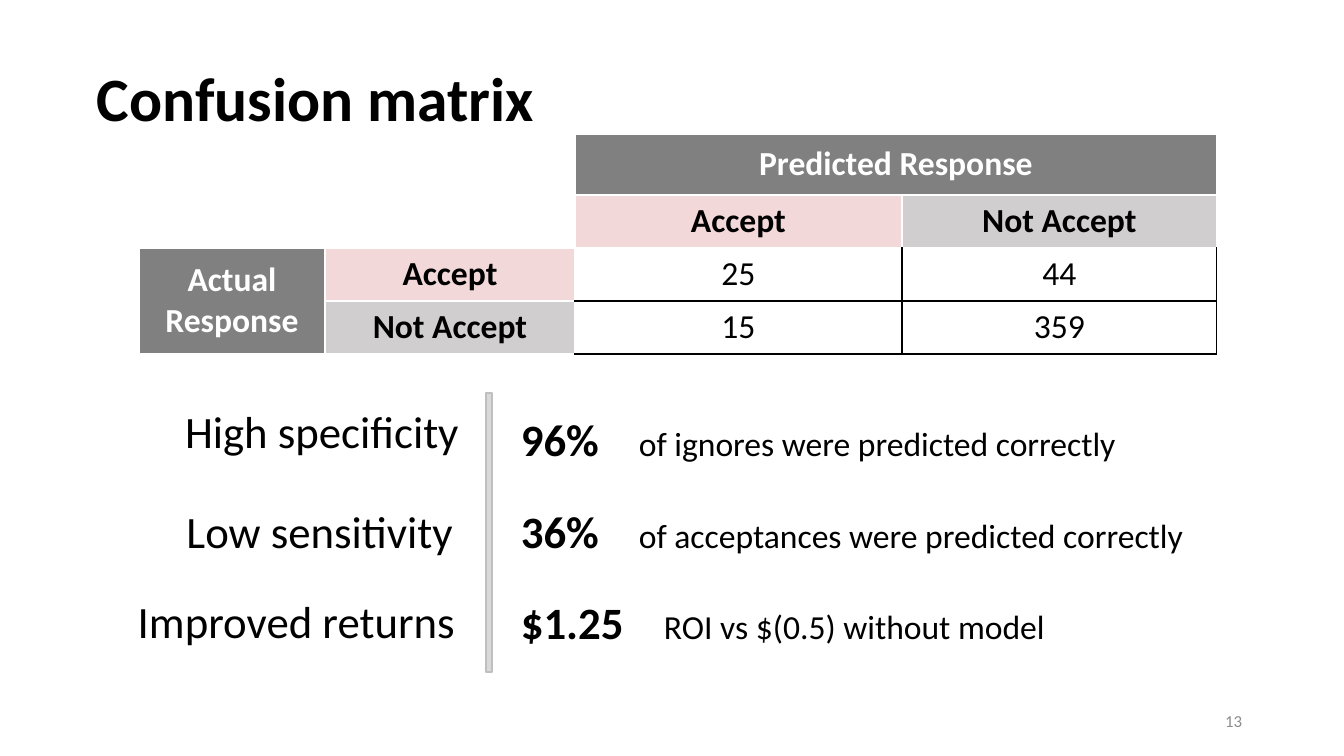
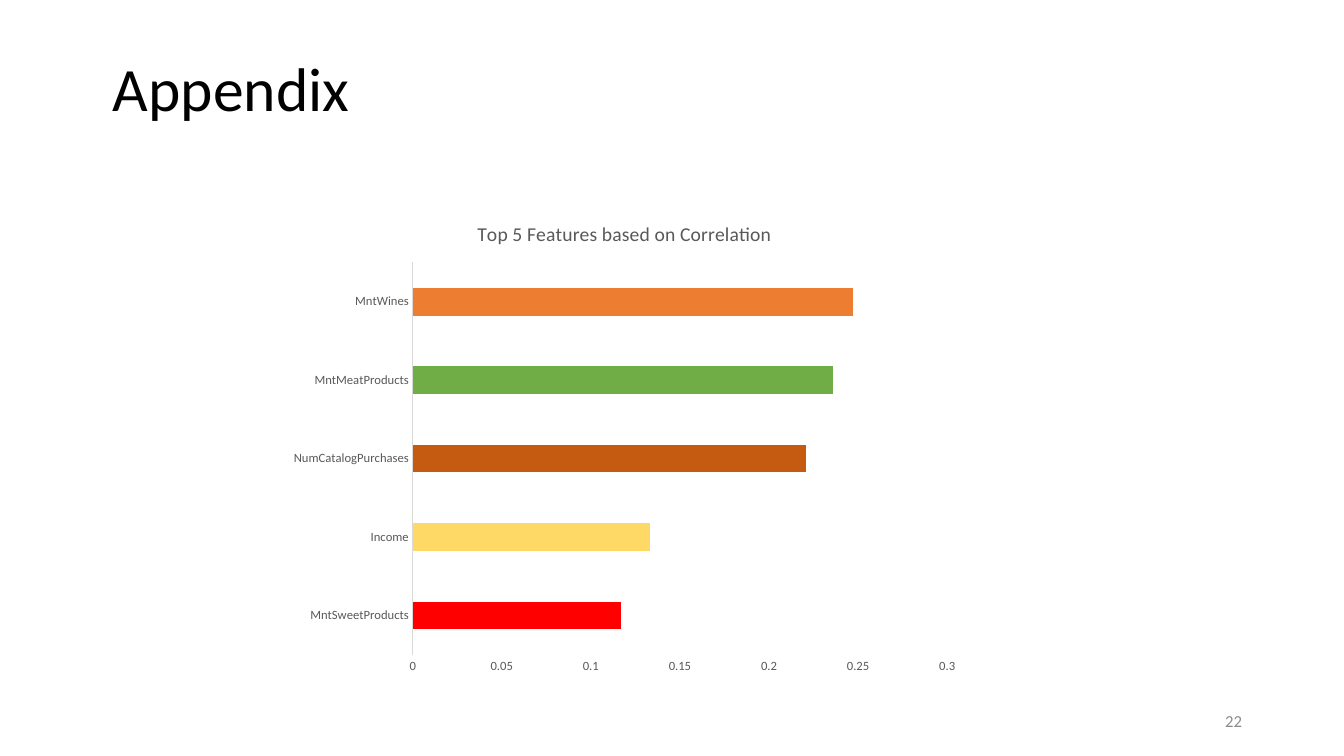
from lxml import etree
from pptx import Presentation
from pptx.chart.data import CategoryChartData
from pptx.dml.color import RGBColor
from pptx.enum.chart import XL_CHART_TYPE as ChartType, XL_TICK_MARK as TickMark
from pptx.enum.shapes import MSO_SHAPE as Shape
from pptx.enum.text import MSO_ANCHOR as Anchor, PP_ALIGN as Align
from pptx.oxml.ns import qn
from pptx.util import Emu, Pt

FONT = "Calibri"
BLACK, WHITE, GREY = "000000", "FFFFFF", "808080"
PINK, SILVER = "F2D8D8", "D0CECE"
PAGE_GREY, CHART_GREY, RULE_FILL, RULE_LINE = "8C8C8C", "595959", "D9D9D9", "BFBFBF"
SLIDE_SIZE = (1344, 756)

MATRIX_AT = (139, 134)
COLUMN_WIDTHS = (186, 250, 327, 315)
ROW_HEIGHTS = (61, 53, 53, 53)
MATRIX_CELLS = {
    (0, 2): ("Predicted Response", GREY, WHITE),
    (1, 2): ("Accept", PINK, BLACK),
    (1, 3): ("Not Accept", SILVER, BLACK),
    (2, 0): ("Actual\nResponse", GREY, WHITE),
    (2, 1): ("Accept", PINK, BLACK),
    (3, 1): ("Not Accept", SILVER, BLACK),
    (2, 2): ("25", None, BLACK),
    (2, 3): ("44", None, BLACK),
    (3, 2): ("15", None, BLACK),
    (3, 3): ("359", None, BLACK),
}
MERGES = [((0, 2), (0, 3)), ((2, 0), (3, 0))]

FINDINGS = [
    ("High specificity", (469, 399), "96%", "of ignores were predicted correctly", 407, 118),
    ("Low sensitivity", (463, 499), "36%", "of acceptances were predicted correctly", 499, 118),
    ("Improved returns", (465, 589), "$1.25", "ROI vs $(0.5) without model", 590, 143),
]

CHART_TITLE = "Top 5 Features based on Correlation"
FEATURES = [
    ("MntSweetProducts", 0.117, "FF0000"),
    ("Income", 0.133, "FFD966"),
    ("NumCatalogPurchases", 0.221, "C55A11"),
    ("MntMeatProducts", 0.236, "70AD47"),
    ("MntWines", 0.247, "ED7D31"),
]


def px(*lengths):
    return [Emu(round(length * 914400 / 100.8)) for length in lengths]


def color(hex_code):
    return RGBColor.from_string(hex_code)


def style_font(font, size, hex_code=BLACK, bold=False):
    font.name, font.size, font.bold = FONT, Pt(size), bold
    font.color.rgb = color(hex_code)


def add_text(slide, box, text, size, hex_code=BLACK, bold=False, align=Align.LEFT, anchor=Anchor.TOP):
    frame = slide.shapes.add_textbox(*px(*box)).text_frame
    frame.word_wrap = True
    frame.vertical_anchor = anchor
    paragraph = frame.paragraphs[0]
    paragraph.text = text
    paragraph.alignment = align
    style_font(paragraph.font, size, hex_code, bold)
    return paragraph


def add_base(presentation, title, left, top, page, bold):
    slide = presentation.slides.add_slide(presentation.slide_layouts[6])
    heading = add_text(slide, (left, top, 1142, 110), title, 44, bold=bold, anchor=Anchor.MIDDLE)
    heading.line_spacing = 0.9
    add_text(slide, (950, 701, 302, 40), page, 12, PAGE_GREY, align=Align.RIGHT, anchor=Anchor.MIDDLE)
    return slide


def set_borders(cell, sides):
    properties = cell._tc.get_or_add_tcPr()
    for index, (side, hex_code) in enumerate(sides.items()):
        line = etree.Element(qn(f"a:ln{side}"), w=str(Pt(1)))
        fill = etree.SubElement(line, qn("a:solidFill"))
        etree.SubElement(fill, qn("a:srgbClr"), val=hex_code)
        properties.insert(index, line)


def add_matrix(slide):
    size = (sum(COLUMN_WIDTHS), sum(ROW_HEIGHTS))
    table = slide.shapes.add_table(
        len(ROW_HEIGHTS), len(COLUMN_WIDTHS), *px(*MATRIX_AT, *size)).table
    table.first_row = table.horz_banding = False
    for column, width in zip(table.columns, px(*COLUMN_WIDTHS)):
        column.width = width
    for row, height in zip(table.rows, px(*ROW_HEIGHTS)):
        row.height = height
    for start, end in MERGES:
        table.cell(*start).merge(table.cell(*end))
    for row in range(len(ROW_HEIGHTS)):
        for column in range(len(COLUMN_WIDTHS)):
            cell = table.cell(row, column)
            text, fill, text_color = MATRIX_CELLS.get((row, column), ("", None, BLACK))
            is_value = row >= 2 and column >= 2
            if fill:
                cell.fill.solid()
                cell.fill.fore_color.rgb = color(fill)
            else:
                cell.fill.background()
            cell.text = text
            cell.vertical_anchor = Anchor.MIDDLE
            for paragraph in cell.text_frame.paragraphs:
                paragraph.alignment = Align.CENTER
                style_font(paragraph.font, 24, text_color, not is_value)
            edge = BLACK if is_value else WHITE
            set_borders(cell, {
                "L": edge if column > 2 else WHITE,
                "R": edge,
                "T": edge if row > 2 else WHITE,
                "B": edge,
            })


def add_finding(slide, label, label_corner, figure, detail, top, tab):
    right, label_top = label_corner
    add_text(slide, (right - 371, label_top, 371, 65), label, 32, align=Align.RIGHT)
    paragraph = add_text(slide, (511, top, 733, 65), figure + "\t", 32, bold=True)
    run = paragraph.add_run()
    run.text = detail
    run.font.size, run.font.bold = Pt(24), False
    tabs = etree.Element(qn("a:tabLst"))
    etree.SubElement(tabs, qn("a:tab"), pos=str(px(tab)[0]), algn="l")
    paragraph._p.get_or_add_pPr().insert(0, tabs)


def add_divider(slide):
    divider = slide.shapes.add_shape(Shape.RECTANGLE, *px(486, 393, 6, 279))
    divider.shadow.inherit = False
    divider.fill.solid()
    divider.fill.fore_color.rgb = color(RULE_FILL)
    divider.line.color.rgb = color(RULE_LINE)
    divider.line.width = Pt(1)


def add_feature_chart(slide):
    data = CategoryChartData()
    data.categories = [name for name, _, _ in FEATURES]
    data.add_series(CHART_TITLE, [value for _, value, _ in FEATURES])
    chart = slide.shapes.add_chart(ChartType.BAR_CLUSTERED, *px(280, 202, 689, 481), data).chart
    style_font(chart.font, 10)
    chart.has_legend = False
    chart.has_title = True
    heading = chart.chart_title.text_frame.paragraphs[0]
    heading.text = CHART_TITLE
    style_font(heading.font, 14, CHART_GREY)
    for axis in (chart.category_axis, chart.value_axis):
        axis.has_major_gridlines = False
        axis.major_tick_mark = axis.minor_tick_mark = TickMark.NONE
        style_font(axis.tick_labels.font, 9, CHART_GREY)
    chart.category_axis.format.line.color.rgb = color(RULE_FILL)
    chart.category_axis.format.line.width = Pt(0.75)
    scale = chart.value_axis
    scale.format.line.fill.background()
    scale.minimum_scale, scale.maximum_scale, scale.major_unit = 0, 0.3, 0.05
    plot = chart.plots[0]
    plot.gap_width = 182
    plot.vary_by_categories = False
    for index, (_, _, bar_color) in enumerate(FEATURES):
        fill = plot.series[0].points[index].format.fill
        fill.solid()
        fill.fore_color.rgb = color(bar_color)


def main():
    presentation = Presentation()
    presentation.slide_width, presentation.slide_height = px(*SLIDE_SIZE)

    slide = add_base(presentation, "Confusion matrix", 87, 47, "13", True)
    add_matrix(slide)
    add_divider(slide)
    for finding in FINDINGS:
        add_finding(slide, *finding)

    slide = add_base(presentation, "Appendix", 103, 37, "22", False)
    add_feature_chart(slide)
    presentation.save("out.pptx")


if __name__ == "__main__":
    main()
